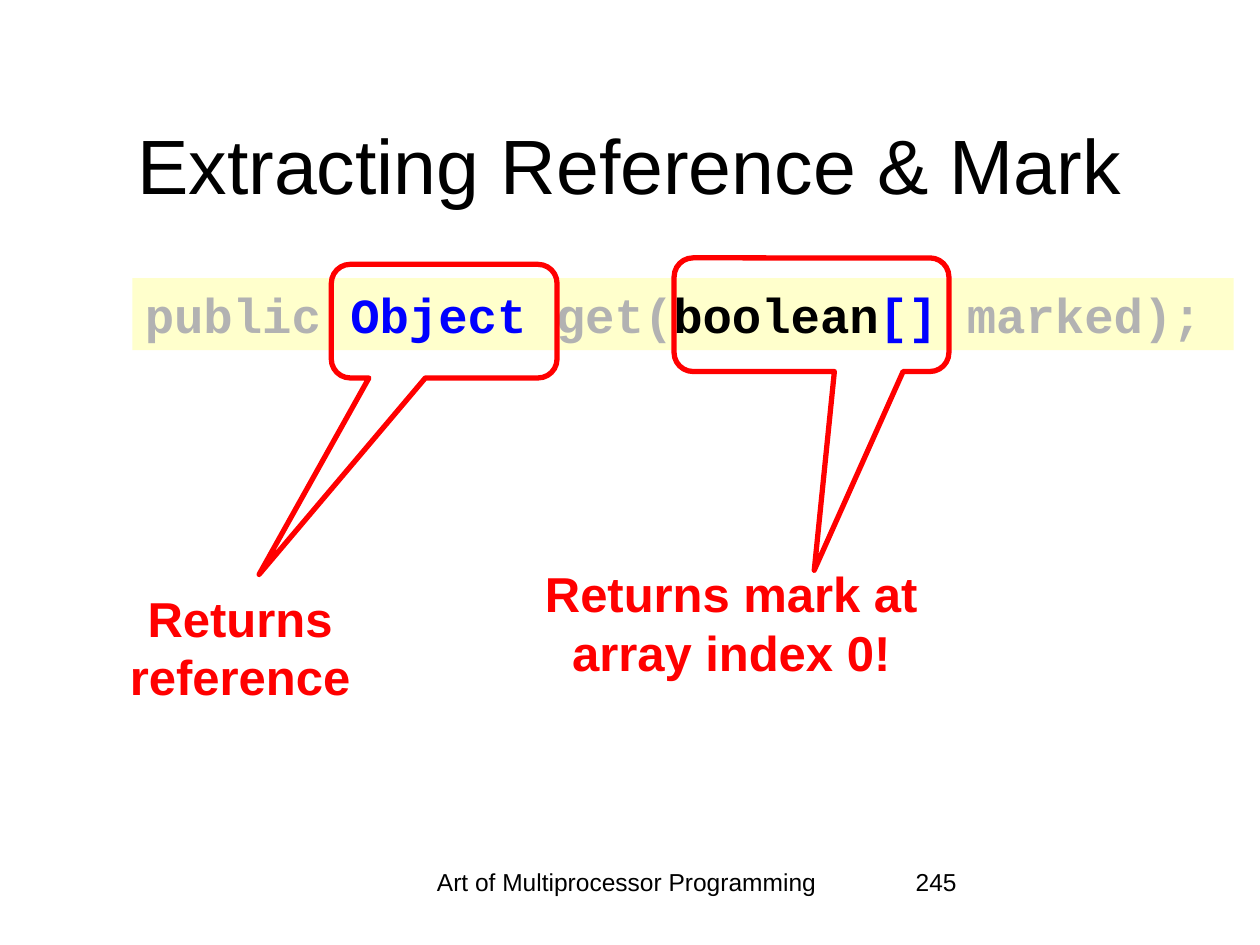
from dataclasses import dataclass

import pptx
import pptx.dml.color
import pptx.enum.shapes
import pptx.enum.text
import pptx.util
from pptx.util import Cm

ALIGN = pptx.enum.text.PP_ALIGN
ANCHOR = pptx.enum.text.MSO_ANCHOR
SHAPE = pptx.enum.shapes.MSO_SHAPE


@dataclass(frozen=True)
class Theme:
    sans: str = "Arial"
    mono: str = "Courier New"
    title_size: int = 44
    body_size: int = 28
    footer_size: int = 14
    black: str = "000000"
    muted: str = "B2B2B2"
    keyword: str = "0000FF"
    accent: str = "FF0000"
    code_fill: str = "FFFFCC"


THEME = Theme()


def rgb(value):
    return pptx.dml.color.RGBColor.from_string(value)


def add_run(p, text, size, color, font=THEME.sans, bold=False):
    r = p.add_run()
    r.text = text
    r.font.name = font
    r.font.size = pptx.util.Pt(size)
    r.font.bold = bold
    r.font.color.rgb = rgb(color)


def set_title(s, text, left, top, width, height):
    sp = s.shapes.title
    sp.left, sp.top, sp.width, sp.height = left, top, width, height
    tf = sp.text_frame
    tf.vertical_anchor = ANCHOR.MIDDLE
    p = tf.paragraphs[0]
    p.alignment = ALIGN.CENTER
    add_run(p, text, THEME.title_size, THEME.black)


def add_text(s, text, box, size, color, bold=False, align=ALIGN.CENTER):
    tf = s.shapes.add_textbox(*box).text_frame
    tf.word_wrap = True
    p = tf.paragraphs[0]
    p.alignment = align
    add_run(p, text, size, color, bold=bold)


def add_code_line(s, parts, box):
    sp = s.shapes.add_shape(SHAPE.RECTANGLE, *box)
    sp.shadow.inherit = False
    sp.fill.solid()
    sp.fill.fore_color.rgb = rgb(THEME.code_fill)
    sp.line.fill.background()
    tf = sp.text_frame
    tf.word_wrap = True
    tf.vertical_anchor = ANCHOR.TOP
    p = tf.paragraphs[0]
    p.alignment = ALIGN.LEFT
    for text, color in parts:
        add_run(p, text, THEME.body_size, color, THEME.mono, bold=True)


def add_callout(s, box, tip):
    """Outline a piece of code; tip is the pointer's end relative to the box centre."""
    sp = s.shapes.add_shape(SHAPE.ROUNDED_RECTANGULAR_CALLOUT, *box)
    sp.shadow.inherit = False
    sp.adjustments[0], sp.adjustments[1] = tip
    sp.fill.background()
    sp.line.color.rgb = rgb(THEME.accent)
    sp.line.width = pptx.util.Pt(3)


def main():
    prs = pptx.Presentation()
    prs.slide_width, prs.slide_height = Cm(25.4), Cm(19.05)
    s = prs.slides.add_slide(prs.slide_layouts[5])

    add_text(s, "Art of Multiprocessor Programming",
             (Cm(7.87), Cm(17.35), Cm(9.53), Cm(1.27)),
             THEME.footer_size, THEME.black)
    add_text(s, "245", (Cm(18.21), Cm(17.35), Cm(5.28), Cm(1.27)),
             THEME.footer_size, THEME.black, align=ALIGN.LEFT)
    set_title(s, "Extracting Reference & Mark",
              Cm(1.9), Cm(1.7), Cm(21.6), Cm(3.18))

    code = [
        ("public", THEME.muted),
        (" Object ", THEME.keyword),
        ("get(", THEME.muted),
        ("boolean", THEME.black),
        ("[]", THEME.keyword),
        (" marked);", THEME.muted),
    ]
    add_code_line(s, code, (Cm(2.67), Cm(5.61), Cm(22.2), Cm(1.45)))

    notes = [
        ("Returns reference",
         (Cm(6.68), Cm(5.33), Cm(4.55), Cm(2.29)), (-0.82, 2.23),
         (Cm(1.6), Cm(11.73), Cm(6.48), Cm(2.62))),
        ("Returns mark at array index 0!",
         (Cm(13.59), Cm(5.2), Cm(5.54), Cm(2.29)), (0.01, 2.25),
         (Cm(10.13), Cm(11.24), Cm(9.22), Cm(2.62))),
    ]
    for text, callout_box, tip, text_box in notes:
        add_callout(s, callout_box, tip)
        add_text(s, text, text_box, THEME.body_size, THEME.accent, bold=True)

    prs.save("out.pptx")


if __name__ == "__main__":
    main()
